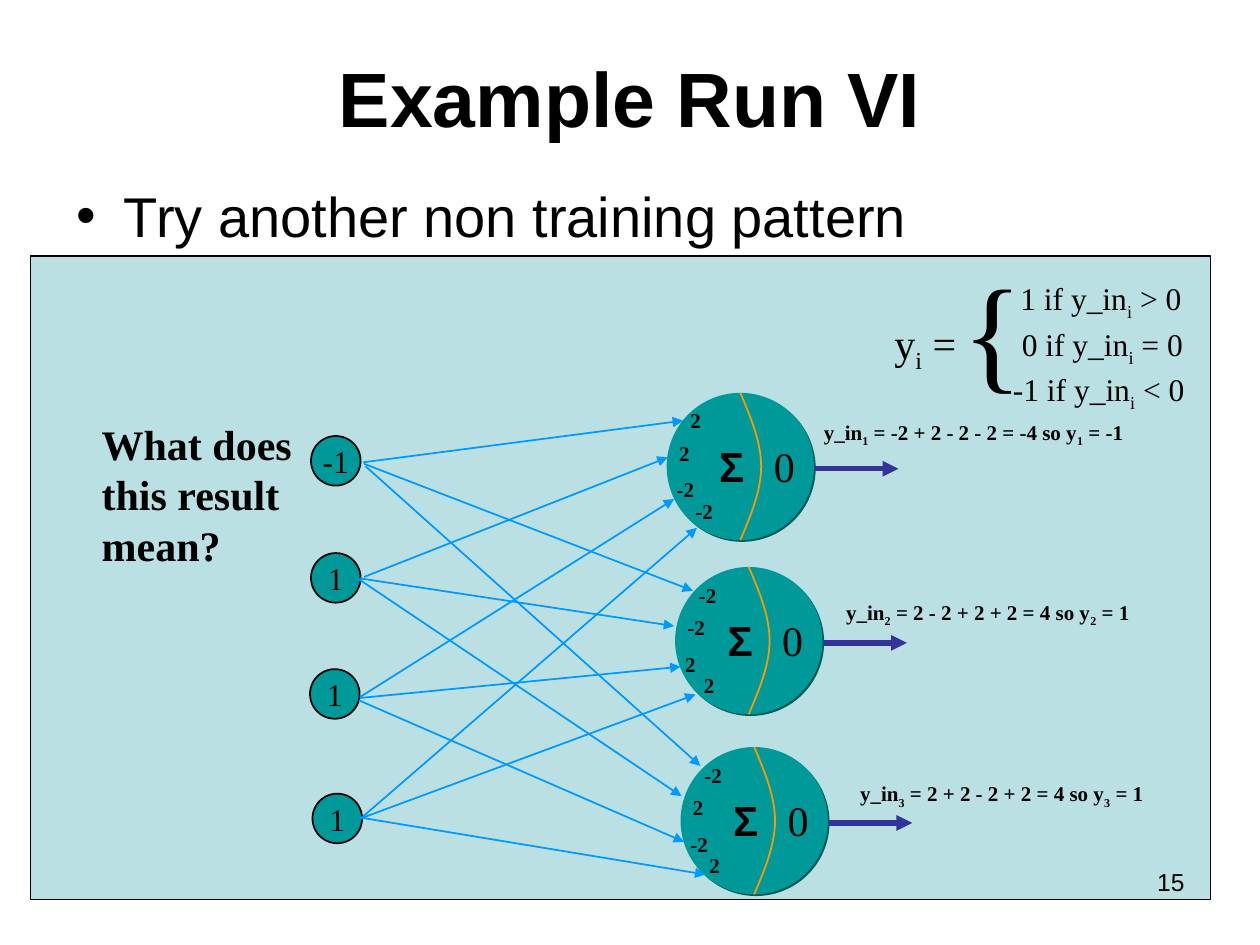
"""Build the slide "Example Run VI": a network of four inputs and three output neurons."""
import lxml.etree
import pptx
import pptx.dml.color
import pptx.enum.shapes
import pptx.enum.text
import pptx.oxml
import pptx.oxml.ns
import pptx.util

Cm = pptx.util.Cm
Pt = pptx.util.Pt
qn = pptx.oxml.ns.qn
Color = pptx.dml.color.RGBColor.from_string
Align = pptx.enum.text.PP_ALIGN
Anchor = pptx.enum.text.MSO_ANCHOR
Shape = pptx.enum.shapes.MSO_SHAPE

COLORS = {
    "text": "000000",
    "panel": "BBE0E3",
    "neuron": "009999",
    "shadow": "005B5B",
    "threshold": "FF9900",
    "output": "333399",
    "connection": "0099FF",
}
SANS, SERIF = "Arial", "Times New Roman"


def write(shape, pieces, size, font, bold=False, align=Align.LEFT, wrap=False):
    """Write pieces into a shape; every second piece is a subscript."""
    frame = shape.text_frame
    frame.word_wrap = wrap
    frame.auto_size = pptx.enum.text.MSO_AUTO_SIZE.NONE
    paragraph = frame.paragraphs[0]
    paragraph.alignment = align
    for index, piece in enumerate(pieces):
        for number, line in enumerate(piece.split("\n")):
            if number:
                paragraph.add_line_break()
            run = paragraph.add_run()
            run.text = line
            run.font.size = Pt(size)
            run.font.name = font
            run.font.bold = bold
            run.font.color.rgb = Color(COLORS["text"])
            if index % 2:
                run._r.get_or_add_rPr().set("baseline", "-25000")
    return paragraph


def draw_arrow(start, end, color, width):
    """Draw a straight arrow between two points in centimetres."""
    arrow = slide.shapes.add_connector(
        pptx.enum.shapes.MSO_CONNECTOR.STRAIGHT, *[Cm(value) for value in start + end])
    arrow.line.color.rgb = Color(COLORS[color])
    arrow.line.width = Pt(width)
    head = lxml.etree.SubElement(arrow.line._get_or_add_ln(), qn("a:tailEnd"))
    head.set("type", "triangle")
    lxml.etree.SubElement(arrow._element.spPr, qn("a:effectLst"))


presentation = pptx.Presentation()
presentation.slide_width = Cm(25.4)
presentation.slide_height = Cm(19.05)
slide = presentation.slides.add_slide(presentation.slide_layouts[5])

title = slide.shapes.title
title.left, title.top, title.width, title.height = Cm(1.27), Cm(0.36), Cm(22.86), Cm(3.18)
title.text_frame.vertical_anchor = Anchor.MIDDLE
write(title, ["Example Run VI"], 44, SANS, True, Align.CENTER, True)

body = slide.shapes.add_textbox(Cm(1.3), Cm(3.53), Cm(22.86), Cm(2.16))
properties = body.text_frame.paragraphs[0]._p.get_or_add_pPr()
properties.set("marL", str(Cm(0.95)))
properties.set("indent", str(Cm(-0.95)))
lxml.etree.SubElement(properties, qn("a:buFont")).set("typeface", SANS)
lxml.etree.SubElement(properties, qn("a:buChar")).set("char", "•")
write(body, ["Try another non training pattern"], 32, SANS, wrap=True)

panel = slide.shapes.add_shape(Shape.RECTANGLE, Cm(0.61), Cm(5.16), Cm(23.8), Cm(12.98))
panel.shadow.inherit = False
panel.fill.solid()
panel.fill.fore_color.rgb = Color(COLORS["panel"])
panel.line.color.rgb = Color(COLORS["text"])
panel.line.width = Pt(0.75)

for left, top, value in [(6.27, 8.79, "-1"), (6.27, 11.15, "1"), (6.25, 13.49, "1"), (6.3, 16, "1")]:
    node = slide.shapes.add_shape(Shape.OVAL, Cm(left), Cm(top), Cm(1), Cm(1))
    node.shadow.inherit = False
    node.fill.solid()
    node.fill.fore_color.rgb = Color(COLORS["neuron"])
    node.line.color.rgb = Color(COLORS["text"])
    node.line.width = Pt(1)
    node.text_frame.vertical_anchor = Anchor.MIDDLE
    write(node, [value], 18, SERIF, align=Align.CENTER)

labels = [
    (17.78, 6.27, 1.96, 1.42, ["y", "i", " ="], 24, SERIF, False),
    (20.32, 5.51, 3.76, 1.12, ["1 if y_in", "i", " > 0"], 18, SERIF, False),
    (20.35, 6.43, 3.76, 1.12, ["0 if y_in", "i", " = 0"], 18, SERIF, False),
    (20.17, 7.34, 3.96, 1.12, ["-1 if y_in", "i", " < 0"], 18, SERIF, False),
    (19.15, 4.95, 1.73, 3.3, ["{"], 72, SERIF, False),
    (16.36, 8.33, 6.53, 0.84, ["y_in", "1", " = -2 + 2 - 2 - 2 = -4 so y", "1", " = -1"], 12, SERIF, True),
    (16.81, 11.96, 6.22, 0.84, ["y_in", "2", " = 2 - 2 + 2 + 2 = 4 so y", "2", " = 1"], 12, SERIF, True),
    (17.09, 15.62, 6.22, 0.84, ["y_in", "3", " = 2 + 2 - 2 + 2 = 4 so y", "3", " = 1"], 12, SERIF, True),
    (1.8, 8.31, 4.34, 3.3, ["What does\nthis result\nmean?"], 24, SERIF, True),
]

diameter, bulge, steps = 2.97, 0.42, 16
weight_offsets = [(0.23, 0.18), (0, 0.84), (-0.05, 1.57), (0.33, 2.01)]
neurons = [
    (13.44, 7.92, ["2", "2", "-2", "-2"]),
    (13.61, 11.43, ["-2", "-2", "2", "2"]),
    (13.72, 15.06, ["-2", "2", "-2", "2"]),
]
for left, top, weights in neurons:
    neuron = slide.shapes.add_shape(Shape.OVAL, Cm(left), Cm(top), Cm(diameter), Cm(diameter))
    neuron.shadow.inherit = False
    neuron.fill.solid()
    neuron.fill.fore_color.rgb = Color(COLORS["neuron"])
    neuron.line.fill.background()
    effects = neuron._element.spPr.find(qn("a:effectLst"))
    shadow = lxml.etree.SubElement(effects, qn("a:outerShdw"))
    shadow.set("dist", str(Pt(1.4)))
    shadow.set("dir", "2700000")
    lxml.etree.SubElement(shadow, qn("a:srgbClr")).set("val", COLORS["shadow"])

    points = []
    for step in range(-steps, steps + 1):
        t = 1 - abs(step) / steps
        points.append((Cm(left + diameter / 2 + bulge * (1.5 * t - 0.5 * t ** 3)),
                       Cm(top + diameter / 2 * (1 + step / steps))))
    builder = slide.shapes.build_freeform(*points[0])
    builder.add_line_segments(points[1:], close=False)
    threshold = builder.convert_to_shape()
    threshold.shadow.inherit = False
    threshold.fill.background()
    threshold.line.color.rgb = Color(COLORS["threshold"])
    threshold.line.width = Pt(1)

    draw_arrow((left + 3, top + 1.53), (left + 4.67, top + 1.53), "output", 3)
    labels.append((left + 0.81, top + 0.84, 0.99, 1.27, ["Σ"], 24, SANS, True))
    labels.append((left + 1.91, top + 0.84, 0.91, 1.27, ["0"], 24, SERIF, False))
    for (across, down), weight in zip(weight_offsets, weights):
        width = 0.86 if weight == "-2" else 0.71
        labels.append((left + across, top + down, width, 0.76, [weight], 12, SERIF, True))

connections = [
    ((7.32, 9.32), (13.77, 8.48)),
    ((7.34, 9.35), (13.97, 11.91)),
    ((7.37, 9.4), (14.12, 15.44)),
    ((7.34, 11.63), (13.46, 9.22)),
    ((7.26, 11.66), (13.59, 12.62)),
    ((7.21, 11.66), (13.74, 16.05)),
    ((7.26, 14.05), (13.59, 10.06)),
    ((7.26, 14.07), (13.72, 13.44)),
    ((7.24, 14.12), (13.79, 16.97)),
    ((7.26, 16.51), (14.05, 10.64)),
    ((7.24, 16.51), (14.02, 14)),
    ((7.26, 16.48), (14.22, 17.63)),
]
for start, end in connections:
    draw_arrow(start, end, "connection", 1)

for left, top, width, height, pieces, size, font, bold in labels:
    label = slide.shapes.add_textbox(Cm(left), Cm(top), Cm(width), Cm(height))
    write(label, pieces, size, font, bold)

page_number = slide.shapes.add_textbox(Cm(18.21), Cm(17.35), Cm(5.92), Cm(1.32))
write(page_number, ["15"], 14, SANS, align=Align.RIGHT, wrap=True)

presentation.save("out.pptx")
